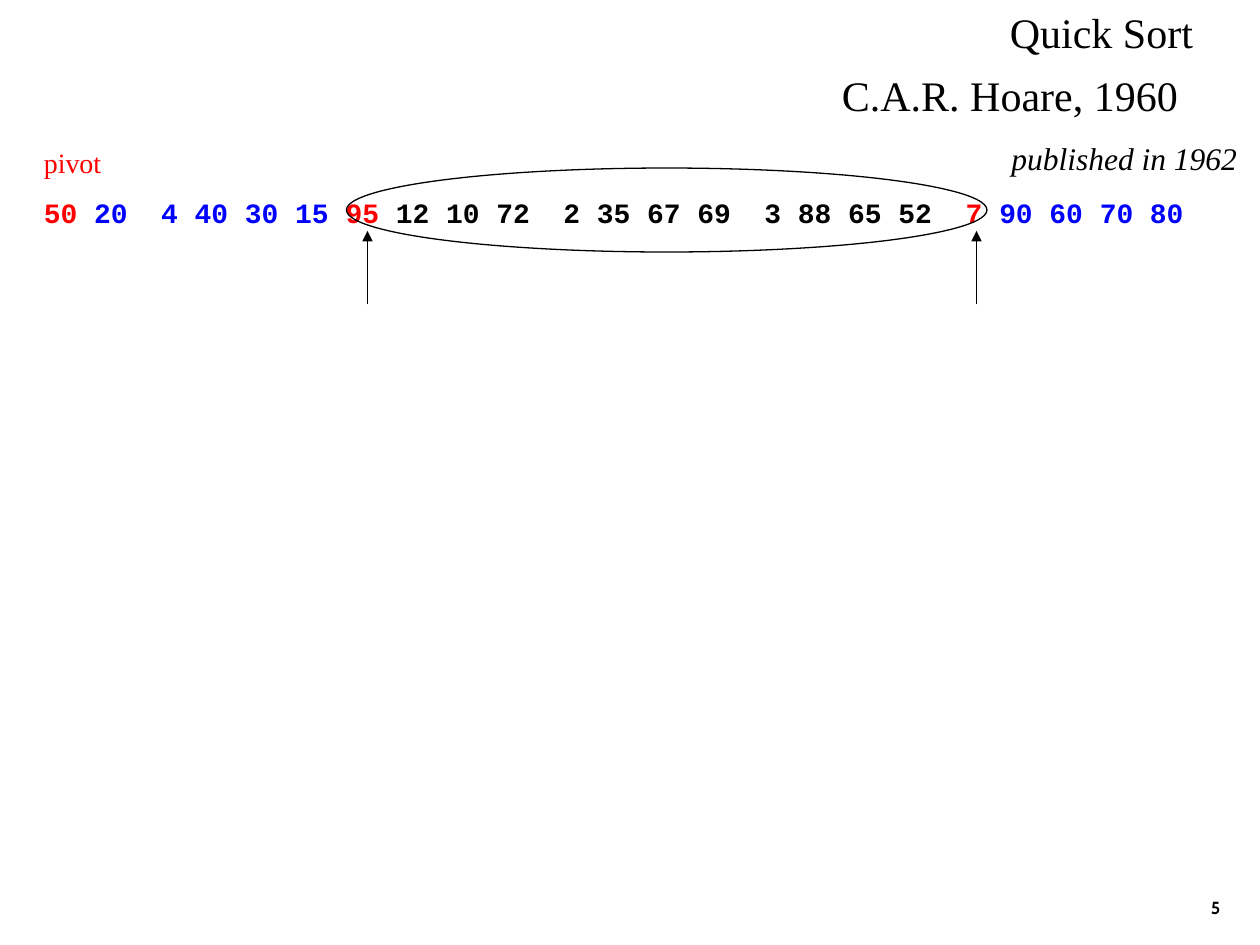
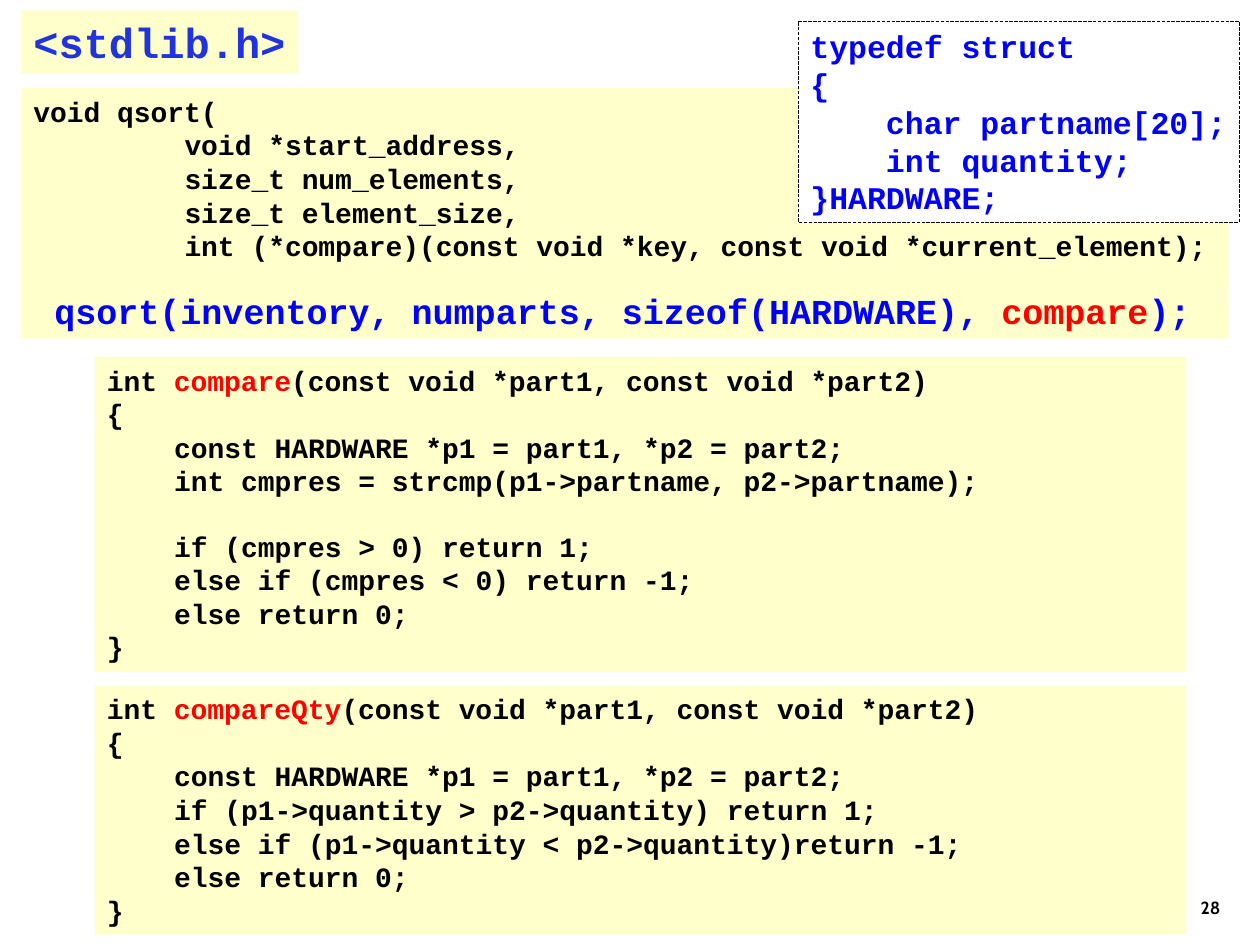
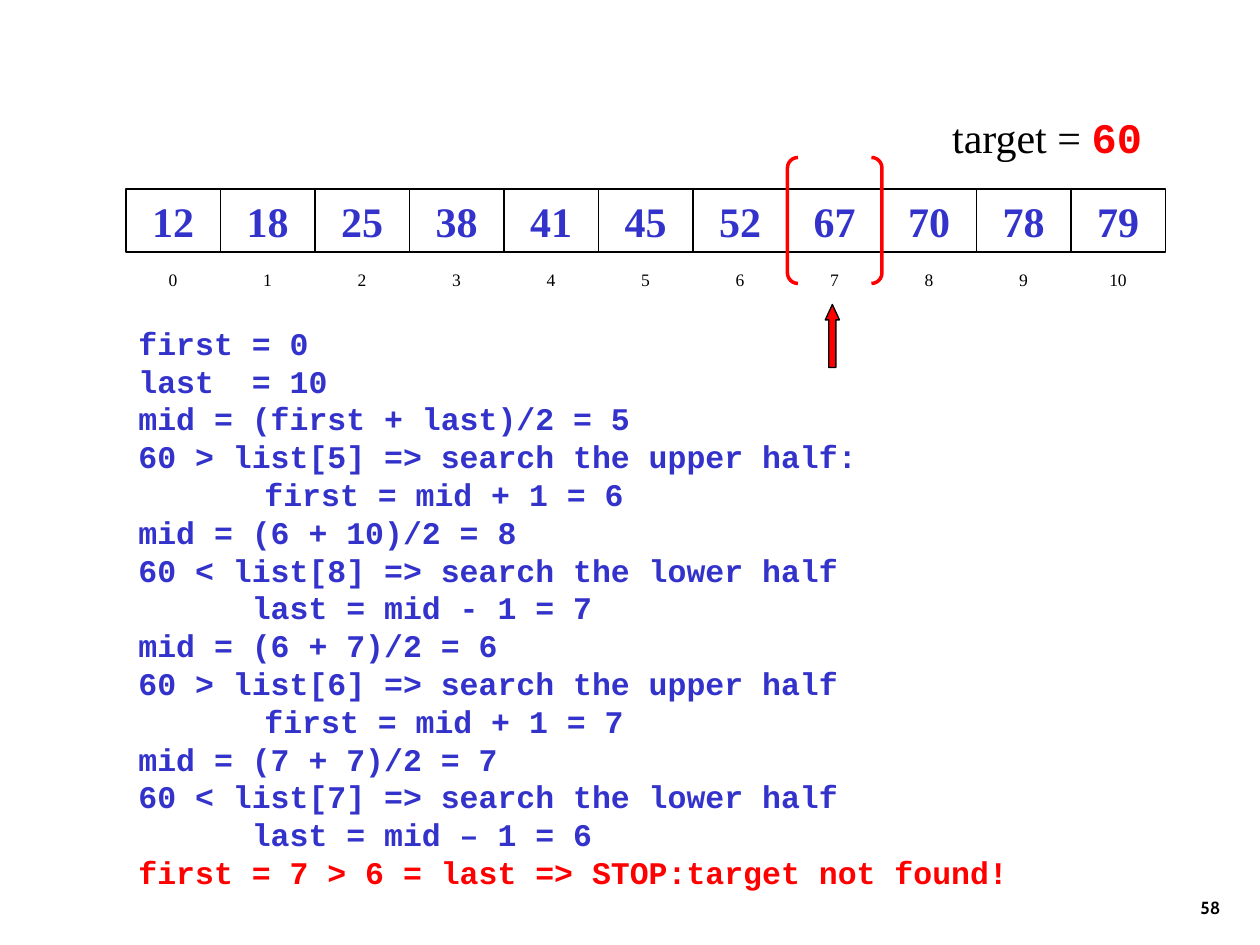
"""Builds three slides on quick sort, qsort and binary search."""
import pptx
import pptx.dml.color
import pptx.enum.dml
import pptx.enum.shapes
import pptx.enum.text
import pptx.util
import lxml.etree

COLUMNS, ROWS, GRID = 120, 90, 12
INK, WHITE, CREAM, RED = "000000", "FFFFFF", "FFFFCC", "FF0000"
BLUE, INDIGO, HEADER_BLUE = "0000FF", "3333CC", "2133DF"
THIN, BRACKET_WIDTH = 0.74, 2
CHAR_WIDTH, LINE_HEIGHT = 0.6, 1.13
SERIF = {"name": "Times New Roman", "size": 24, "color": INK}
CODE = {"name": "Courier New", "size": 16, "color": INK, "bold": True}
NUMBER = {"name": "Cabin", "size": 10, "color": INK, "bold": True}
SHAPES = pptx.enum.shapes.MSO_SHAPE
ALIGN = pptx.enum.text.PP_ALIGN
ANCHOR = pptx.enum.text.MSO_ANCHOR


def grid(*cells):
    """Turn grid columns or rows into lengths."""
    return [pptx.util.Inches(cell / GRID) for cell in cells]


def rgb(code):
    """Turn a hex string into a colour."""
    return pptx.dml.color.RGBColor.from_string(code)


def add_xml(parent, tag, **attributes):
    """Append a DrawingML element to its parent."""
    child = lxml.etree.SubElement(parent, pptx.oxml.ns.qn("a:" + tag))
    for key, value in attributes.items():
        child.set(key, str(value))
    return child


def set_tabs(paragraph, columns, align):
    """Set tab stops, measured in columns from the start of the text."""
    stops = add_xml(paragraph._p.get_or_add_pPr(), "tabLst")
    for position in grid(*columns):
        add_xml(stops, "tab", pos=int(position), algn=align)


def add_run(paragraph, text, style):
    """Add a run with the font values of a style."""
    run = paragraph.add_run()
    run.text = text
    for key, value in style.items():
        if key == "color":
            run.font.color.rgb = rgb(value)
        else:
            setattr(run.font, key, pptx.util.Pt(value) if key == "size" else value)


def write(box, lines, style, align=ALIGN.LEFT, anchor=ANCHOR.TOP, wrap=True):
    """Write lines of (text, changes) runs; leading spaces become an indent."""
    frame = box.text_frame
    for key, value in {"word_wrap": wrap, "vertical_anchor": anchor}.items():
        setattr(frame, key, value)
    paragraph, gap = frame.paragraphs[0], 0
    for number, line in enumerate(lines):
        if not line:
            gap = style["size"] * LINE_HEIGHT
            continue
        if number:
            paragraph = frame.add_paragraph()
        paragraph.alignment = align
        paragraph.space_before = pptx.util.Pt(gap)
        gap = 0
        runs = [(line, {})] if isinstance(line, str) else line
        first = runs[0][0]
        spaces = len(first) - len(first.lstrip(" "))
        if spaces:
            indent = pptx.util.Pt(spaces * CHAR_WIDTH * style["size"])
            paragraph._p.get_or_add_pPr().set("marL", str(int(indent)))
        for text, changes in [(first[spaces:], runs[0][1]), *runs[1:]]:
            add_run(paragraph, text, {**style, **changes})


def label(slide, place, lines, style, **layout):
    """Add a text box."""
    box = slide.shapes.add_textbox(*grid(*place))
    write(box, lines, style, **layout)
    return box


def figure(slide, kind, place, fill=None, line=None, width=THIN, adjust=()):
    """Add a preset shape without a shadow."""
    shape = slide.shapes.add_shape(kind, *grid(*place))
    shape.shadow.inherit = False
    for part, color in ((shape.fill, fill), (shape.line.fill, line)):
        if color:
            part.solid()
            part.fore_color.rgb = rgb(color)
        else:
            part.background()
    if line:
        shape.line.width = pptx.util.Pt(width)
    for position, value in enumerate(adjust):
        shape.adjustments[position] = value
    return shape


def panel(slide, place, lines, style, **layout):
    """Add a cream code panel."""
    write(figure(slide, SHAPES.RECTANGLE, place, CREAM), lines, style, **layout)


def pointer(slide, column, start, end):
    """Add a vertical arrow."""
    arrow = slide.shapes.add_connector(
        pptx.enum.shapes.MSO_CONNECTOR.STRAIGHT, *grid(column, start, column, end))
    arrow.line.color.rgb = rgb(INK)
    arrow.line.width = pptx.util.Pt(THIN)
    properties = arrow.element.spPr
    add_xml(properties.get_or_add_ln(), "tailEnd", type="triangle")
    add_xml(properties, "effectLst")


def new_slide(deck, number):
    """Add a blank slide with its number."""
    slide = deck.slides.add_slide(deck.slide_layouts[6])
    label(slide, (92.4, 82, 25, 6), [number], NUMBER, align=ALIGN.RIGHT, anchor=ANCHOR.BOTTOM)
    return slide


def partition_slide(deck):
    """Show the pivot and the part still to be sorted."""
    slide = new_slide(deck, "5")
    red, blue = {"color": RED}, {"color": BLUE}
    values = [("50 ", red), ("20  4 40 30 15 ", blue), ("95", red),
              (" 12 10 72  2 35 67 69  3 88 65 52  ", {}), ("7 ", red), ("90 60 70 80", blue)]
    label(slide, (3, 18, 114, 4.4), [values], CODE)
    label(slide, (3, 13.3, 8.4, 4.4), ["pivot"], {**SERIF, "size": 16, **red})
    for column in (35, 93):
        pointer(slide, column, 29, 22)
    figure(slide, SHAPES.OVAL, (33, 16, 61, 8), line=INK)
    label(slide, (95, 0, 25, 6), ["Quick Sort"], SERIF)
    author = label(slide, (79, 6, 40, 11.5), ["C.A.R. Hoare, 1960",
                   [("published in 1962", {"size": 18, "italic": True})]], SERIF)
    published = author.text_frame.paragraphs[1]
    for key, value in {"alignment": ALIGN.RIGHT, "space_before": pptx.util.Pt(11.2)}.items():
        setattr(published, key, value)


def compare_function(name, body):
    """Return the lines of a comparison function."""
    return [[("int ", {}), (name, {"color": RED}), ("(const void *part1, const void *part2)", {})],
            "{", "    const HARDWARE *p1 = part1, *p2 = part2;", *body, "    else return 0;", "}"]


def library_slide(deck):
    """Show qsort with two comparison functions."""
    slide = new_slide(deck, "28")
    panel(slide, (2, 8.4, 115, 20.9), [
        "void qsort(",
        "         void *start_address,",
        "         size_t num_elements,",
        "         size_t element_size,",
        "         int (*compare)(const void *key, const void *current_element);"], CODE)
    record = figure(slide, SHAPES.RECTANGLE, (76, 2, 42, 19.2), WHITE, INK, 0.26)
    record.line.dash_style = pptx.enum.dml.MSO_LINE.LONG_DASH
    write(record, ["typedef struct", "{", "    char partname[20];", "    int quantity;",
                   "}HARDWARE;"], {**CODE, "size": 18, "color": BLUE}, wrap=False)
    panel(slide, (2, 1, 26.4, 6), ["<stdlib.h>"],
          {**CODE, "size": 24, "color": HEADER_BLUE}, wrap=False)
    panel(slide, (2, 27, 115, 5.25), [[
        (" qsort(inventory, numparts, sizeof(HARDWARE), ", {}),
        ("compare", {"color": RED}), (");", {})]], {**CODE, "size": 20, "color": BLUE})
    panel(slide, (9, 34, 104, 30), compare_function("compare", [
        "    int cmpres = strcmp(p1->partname, p2->partname);", "",
        "    if (cmpres > 0) return 1;",
        "    else if (cmpres < 0) return -1;"]), CODE)
    panel(slide, (9, 65.3, 104, 23.7), compare_function("compareQty", [
        "    if (p1->quantity > p2->quantity) return 1;",
        "    else if (p1->quantity < p2->quantity)return -1;"]), CODE)


def index_row(slide, count, left, pitch):
    """Number the list cells with centred tab stops."""
    start = 14.5
    row = figure(slide, SHAPES.RECTANGLE, (start, 25, 96.5, 3), WHITE)
    write(row, ["".join(f"\t{index}" for index in range(count))], {**SERIF, "size": 10})
    text_start = start + 0.1 * GRID
    centres = [left + (index + 0.5) * pitch - text_start for index in range(count)]
    set_tabs(row.text_frame.paragraphs[0], centres, "ctr")


def search_slide(deck):
    """Trace a binary search that fails."""
    slide = new_slide(deck, "58")
    trace = label(slide, (12, 30.25, 86, 55.2), [
        "first = 0",
        "last  = 10",
        "mid = (first + last)/2 = 5",
        "60 > list[5] => search the upper half:",
        "\tfirst = mid + 1 = 6",
        "mid = (6 + 10)/2 = 8",
        "60 < list[8] => search the lower half",
        "      last = mid - 1 = 7",
        "mid = (6 + 7)/2 = 6",
        "60 > list[6] => search the upper half",
        "\tfirst = mid + 1 = 7",
        "mid = (7 + 7)/2 = 7",
        "60 < list[7] => search the lower half",
        "      last = mid – 1 = 6",
        [("first = 7 > 6 = last => STOP:target not found!", {"color": RED})],
    ], {**CODE, "size": 18, "color": INDIGO})
    for step in trace.text_frame.paragraphs:
        if step.text.startswith("\t"):
            set_tabs(step, [GRID], "l")
    figure(slide, SHAPES.UP_ARROW, (78.6, 29, 1.35, 6), RED, INK, adjust=(0.5, 1.09))
    numbers = (12, 18, 25, 38, 41, 45, 52, 67, 70, 78, 79)
    left, pitch, middle = 12, 9, 7
    index_row(slide, len(numbers), left, pitch)
    for index, number in enumerate(numbers):
        cell = figure(slide, SHAPES.RECTANGLE, (left + index * pitch, 18, pitch, 6), line=INK)
        write(cell, [str(number)], {**SERIF, "color": INDIGO, "bold": True},
              align=ALIGN.CENTER, anchor=ANCHOR.MIDDLE, wrap=False)
    edge = left + middle * pitch
    for bracket, column in ((SHAPES.LEFT_BRACKET, edge), (SHAPES.RIGHT_BRACKET, edge + pitch - 1)):
        figure(slide, bracket, (column, 15, 1, 12), line=RED, width=BRACKET_WIDTH, adjust=(1,))
    label(slide, (89.5, 10, 20.5, 6), [[("target = ", {}), ("60", {**CODE, "size": 24, "color": RED})]],
          SERIF, wrap=False)


def main():
    """Build and save the deck."""
    deck = pptx.Presentation()
    deck.slide_width, deck.slide_height = grid(COLUMNS, ROWS)
    for build in (partition_slide, library_slide, search_slide):
        build(deck)
    deck.save("out.pptx")


main()
